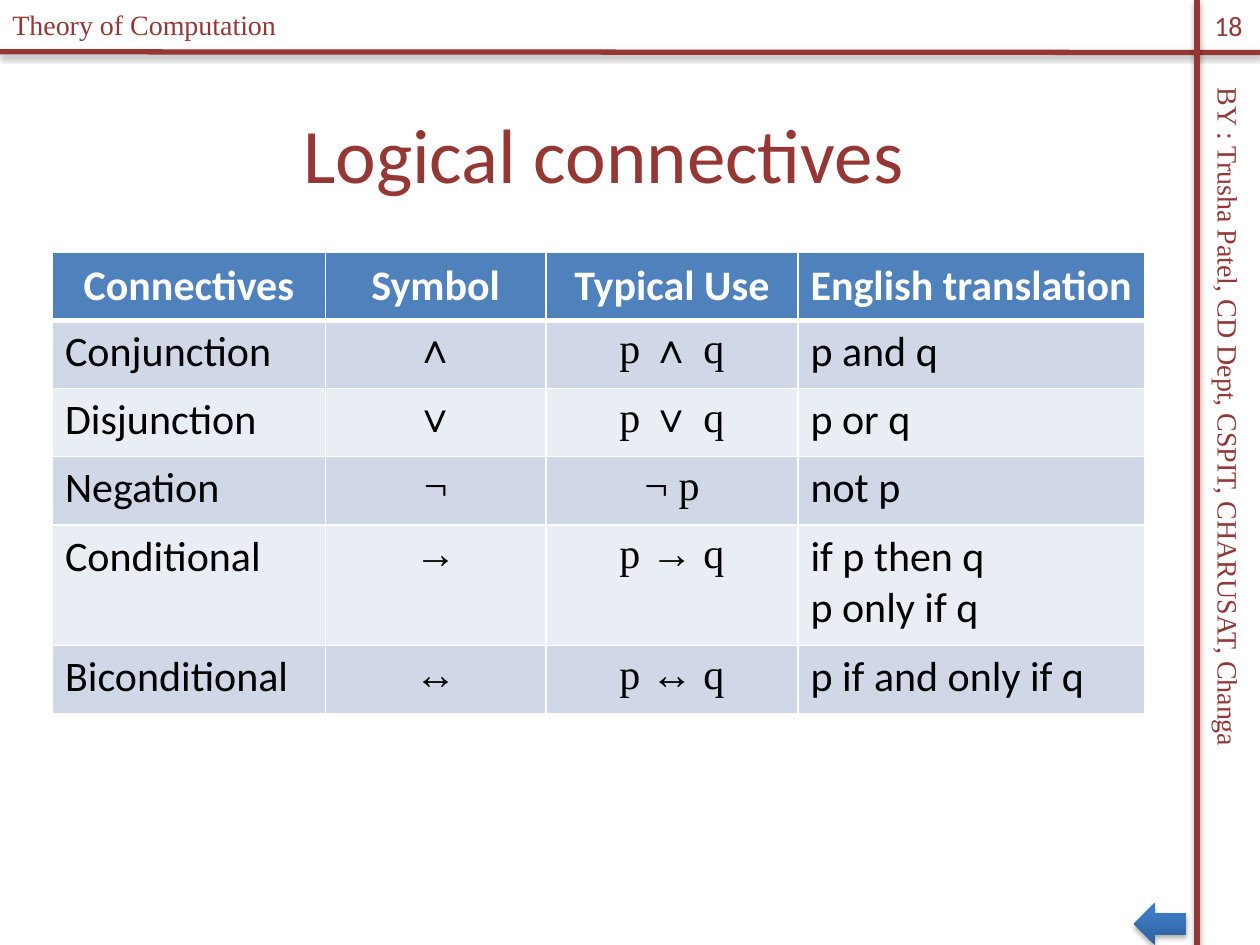
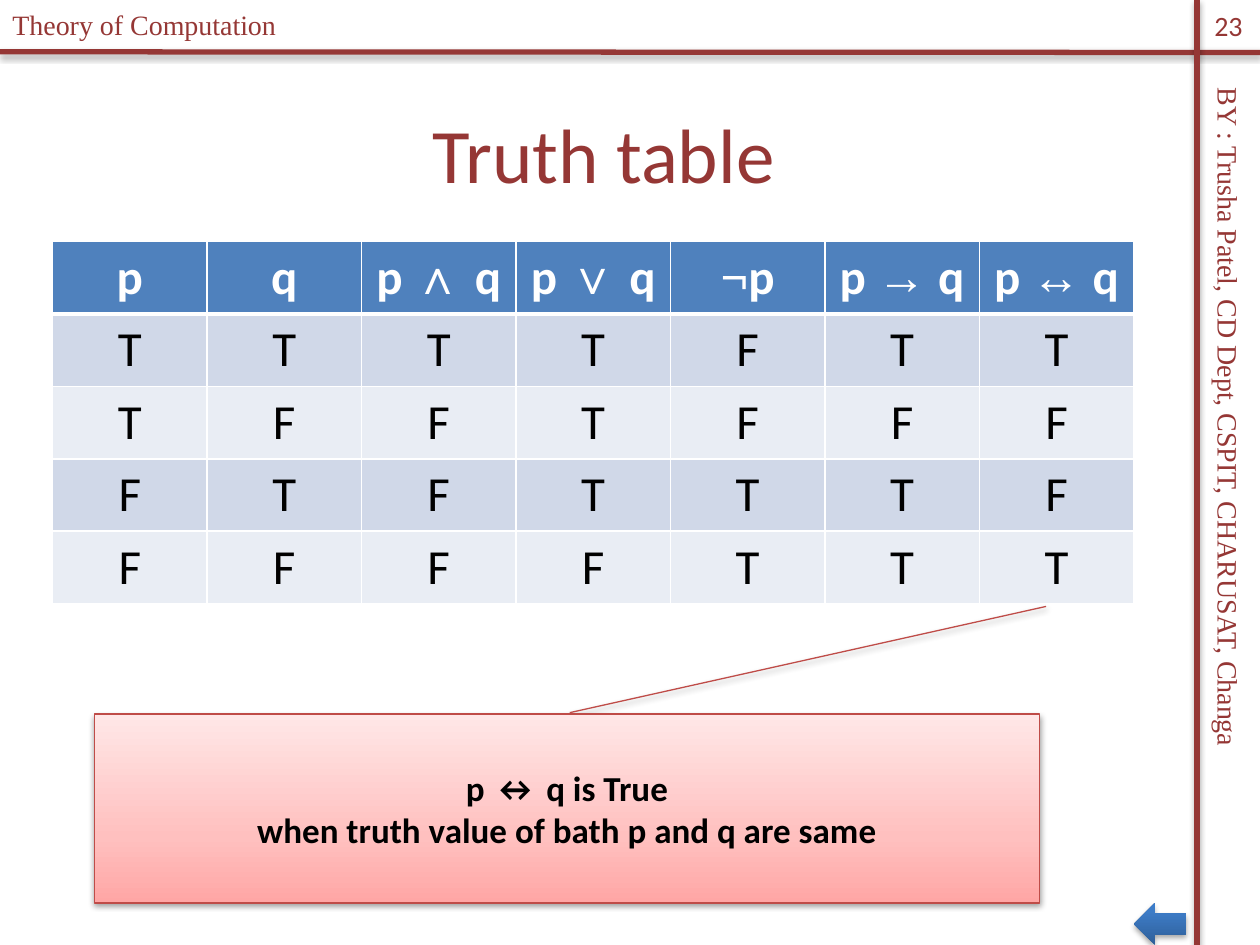
from copy import deepcopy

from lxml.etree import SubElement
from pptx import Presentation
from pptx.dml.color import RGBColor
from pptx.enum.shapes import MSO_CONNECTOR, MSO_SHAPE
from pptx.enum.text import MSO_ANCHOR, PP_ALIGN
from pptx.oxml.ns import qn
from pptx.util import Pt

# Content
COURSE = "Theory of Computation"
AUTHOR = "BY : Trusha Patel, CD Dept, CSPIT, CHARUSAT, Changa"

CONNECTIVES = {
    "title": "Logical connectives",
    "number": "18",
    "top": 144,
    "columns": [156, 126, 144, 198],
    "rows": [39, 39, 39, 39, 69, 39],
    "size": 24,
    "centred": [1, 2],
    "body_anchor": MSO_ANCHOR.TOP,
    "cells": [
        ["Connectives", "Symbol", "Typical Use", "English translation"],
        ["Conjunction", "∧", "p ∧ q", "p and q"],
        ["Disjunction", "∨", "p ∨ q", "p or q"],
        ["Negation", "¬", "¬ p", "not p"],
        ["Conditional", "→", "p → q", "if p then q\np only if q"],
        ["Biconditional", "↔", "p ↔ q", "p if and only if q"],
    ],
}

# A tuple holds the runs of one cell
TRUTH_TABLE = {
    "title": "Truth table",
    "number": "23",
    "top": 138,
    "columns": [618 / 7] * 7,
    "rows": [41.4] * 5,
    "size": 28,
    "centred": range(7),
    "body_anchor": MSO_ANCHOR.MIDDLE,
    "cells": [
        ["p", "q", ("p ", "∧ ", "q"), ("p ", "∨ ", "q"), ("¬", "p"),
         ("p ", "→ ", "q"), ("p ", "↔ ", "q")],
        *map(list, ["TTTTFTT", "TFFTFFF", "FTFTTTF", "FFFFTTT"]),
    ],
    "callout": "p ↔ q is True\nwhen truth value of bath p and q are same",
}

# Style
MAROON = RGBColor(0x95, 0x37, 0x35)
WHITE = RGBColor(0xFF, 0xFF, 0xFF)
BLACK = RGBColor(0, 0, 0)
HEADER_BLUE = RGBColor(0x4F, 0x81, 0xBD)
BANDS = [RGBColor(0xE9, 0xED, 0xF4), RGBColor(0xD0, 0xD8, 0xE8)]
CALLOUT_LINE = RGBColor(0xBF, 0x4C, 0x48)
ARROW_STOPS = [(0, RGBColor(0x2F, 0x5F, 0x99)), (0.8, RGBColor(0x3D, 0x7C, 0xC7)),
               (1, RGBColor(0x3A, 0x7C, 0xCB))]
CALLOUT_STOPS = [(0, RGBColor(0xFF, 0xA6, 0xA5)), (0.35, RGBColor(0xFF, 0xC0, 0xBF)),
                 (1, RGBColor(0xFF, 0xE7, 0xE7))]
CALLOUT_POINTER = [-0.007, 0.503, -0.569, 1.007]
SANS, SERIF = "Calibri", "Times New Roman"
SYMBOLS = set("∧∨¬→↔")
TITLE_FORMAT = {"size": Pt(44), "name": SANS}
BAND_FORMAT = {"size": Pt(16), "name": SERIF}
NUMBER_FORMAT = {"size": Pt(16), "name": SANS}
CALLOUT_FORMAT = {"size": Pt(20), "name": SANS, "bold": True}


def points(*lengths):
    return [Pt(length) for length in lengths]


def write_text(frame, paragraphs, font_format, color, alignment=PP_ALIGN.LEFT,
               symbol_font=None):
    """Write paragraphs, each a list of runs; symbol_font is for runs with symbols."""
    for index, runs in enumerate(paragraphs):
        paragraph = frame.add_paragraph() if index else frame.paragraphs[0]
        paragraph.alignment = alignment
        for text in runs:
            run = paragraph.add_run()
            run.text = text
            for name, value in font_format.items():
                setattr(run.font, name, value)
            if symbol_font and SYMBOLS & set(text):
                run.font.name = symbol_font
            run.font.color.rgb = color


def add_text(slide, box, text, font_format, alignment=PP_ALIGN.LEFT,
             anchor=MSO_ANCHOR.TOP, rotation=0):
    shape = slide.shapes.add_textbox(*points(*box))
    shape.rotation = rotation
    shape.text_frame.word_wrap = True
    shape.text_frame.vertical_anchor = anchor
    write_text(shape.text_frame, [[text]], font_format, MAROON, alignment)


def add_shadow(shape, distance=1.8, opacity=35):
    effects = SubElement(shape._element.spPr, qn("a:effectLst"))
    shadow = SubElement(effects, qn("a:outerShdw"), blurRad=str(Pt(3.15)),
                        dist=str(Pt(distance)), dir="5400000", rotWithShape="0")
    color = SubElement(shadow, qn("a:srgbClr"), val="000000")
    SubElement(color, qn("a:alpha"), val=str(opacity * 1000))


def fill_gradient(shape, stops):
    shape.fill.gradient()
    shape.fill.gradient_angle = 90
    stop_list = shape._element.spPr.find(".//" + qn("a:gsLst"))
    while len(stop_list) < len(stops):
        stop_list.append(deepcopy(stop_list[0]))
    for stop, (position, color) in zip(shape.fill.gradient_stops, stops):
        stop.position = position
        stop.color.rgb = color


def add_frame(slide, title, number):
    # Crossing rules
    for ends in [(0, 29.6, 720, 30), (684, 0, 684, 540)]:
        rule = slide.shapes.add_connector(MSO_CONNECTOR.STRAIGHT, *points(*ends))
        rule.line.color.rgb = MAROON
        rule.line.width = Pt(3)
        add_shadow(rule)
    # Band texts, title and slide number
    add_text(slide, (0, 0.5, 237, 26.6), COURSE, BAND_FORMAT)
    add_text(slide, (471, 260.6, 462, 26.6), AUTHOR, BAND_FORMAT, rotation=90)
    add_text(slide, (12, 42, 666, 90), title, TITLE_FORMAT,
             PP_ALIGN.CENTER, MSO_ANCHOR.MIDDLE)
    add_text(slide, (684, 0, 36, 29), number, NUMBER_FORMAT,
             PP_ALIGN.CENTER, MSO_ANCHOR.MIDDLE)


def add_borders(cell, row_index):
    heavy_side = {0: "lnB", 1: "lnT"}.get(row_index)
    for side in ("lnL", "lnR", "lnT", "lnB"):
        width = 3 if side == heavy_side else 1
        line = SubElement(cell._tc.get_or_add_tcPr(), qn("a:" + side), w=str(Pt(width)))
        SubElement(SubElement(line, qn("a:solidFill")), qn("a:srgbClr"), val=str(WHITE))


def add_grid(slide, content):
    cells, columns, rows = content["cells"], content["columns"], content["rows"]
    table = slide.shapes.add_table(
        len(rows), len(columns),
        *points(30, content["top"], sum(columns), sum(rows))).table
    for column, width in zip(table.columns, columns):
        column.width = Pt(width)
    for row_index, row_cells in enumerate(cells):
        table.rows[row_index].height = Pt(rows[row_index])
        is_header = row_index == 0
        font_format = {"size": Pt(content["size"]), "name": SANS, "bold": is_header}
        for column_index, value in enumerate(row_cells):
            cell = table.cell(row_index, column_index)
            add_borders(cell, row_index)
            cell.fill.solid()
            cell.fill.fore_color.rgb = HEADER_BLUE if is_header else BANDS[row_index % 2]
            cell.vertical_anchor = (MSO_ANCHOR.MIDDLE if is_header
                                    else content["body_anchor"])
            centred = is_header or column_index in content["centred"]
            paragraphs = ([value] if isinstance(value, tuple)
                          else [[line] for line in value.split("\n")])
            write_text(cell.text_frame, paragraphs, font_format,
                       WHITE if is_header else BLACK,
                       PP_ALIGN.CENTER if centred else PP_ALIGN.LEFT, SERIF)


def add_callout(slide, text):
    callout = slide.shapes.add_shape(MSO_SHAPE.LINE_CALLOUT_1, *points(54, 408, 540, 108))
    for index, value in enumerate(CALLOUT_POINTER):
        callout.adjustments[index] = value
    fill_gradient(callout, CALLOUT_STOPS)
    callout.line.color.rgb = CALLOUT_LINE
    callout.line.width = Pt(0.75)
    add_shadow(callout, distance=1.6, opacity=38)
    callout.text_frame.vertical_anchor = MSO_ANCHOR.MIDDLE
    write_text(callout.text_frame, [[line] for line in text.split("\n")],
               CALLOUT_FORMAT, BLACK, PP_ALIGN.CENTER)


def add_back_arrow(slide):
    arrow = slide.shapes.add_shape(MSO_SHAPE.LEFT_ARROW, *points(648, 516, 30, 24))
    fill_gradient(arrow, ARROW_STOPS)
    arrow.line.fill.background()
    add_shadow(arrow)


def main():
    presentation = Presentation()
    presentation.slide_width, presentation.slide_height = points(720, 540)
    for content in (CONNECTIVES, TRUTH_TABLE):
        slide = presentation.slides.add_slide(presentation.slide_layouts[6])
        add_frame(slide, content["title"], content["number"])
        add_grid(slide, content)
        if "callout" in content:
            add_callout(slide, content["callout"])
        add_back_arrow(slide)
    presentation.save("out.pptx")


if __name__ == "__main__":
    main()
